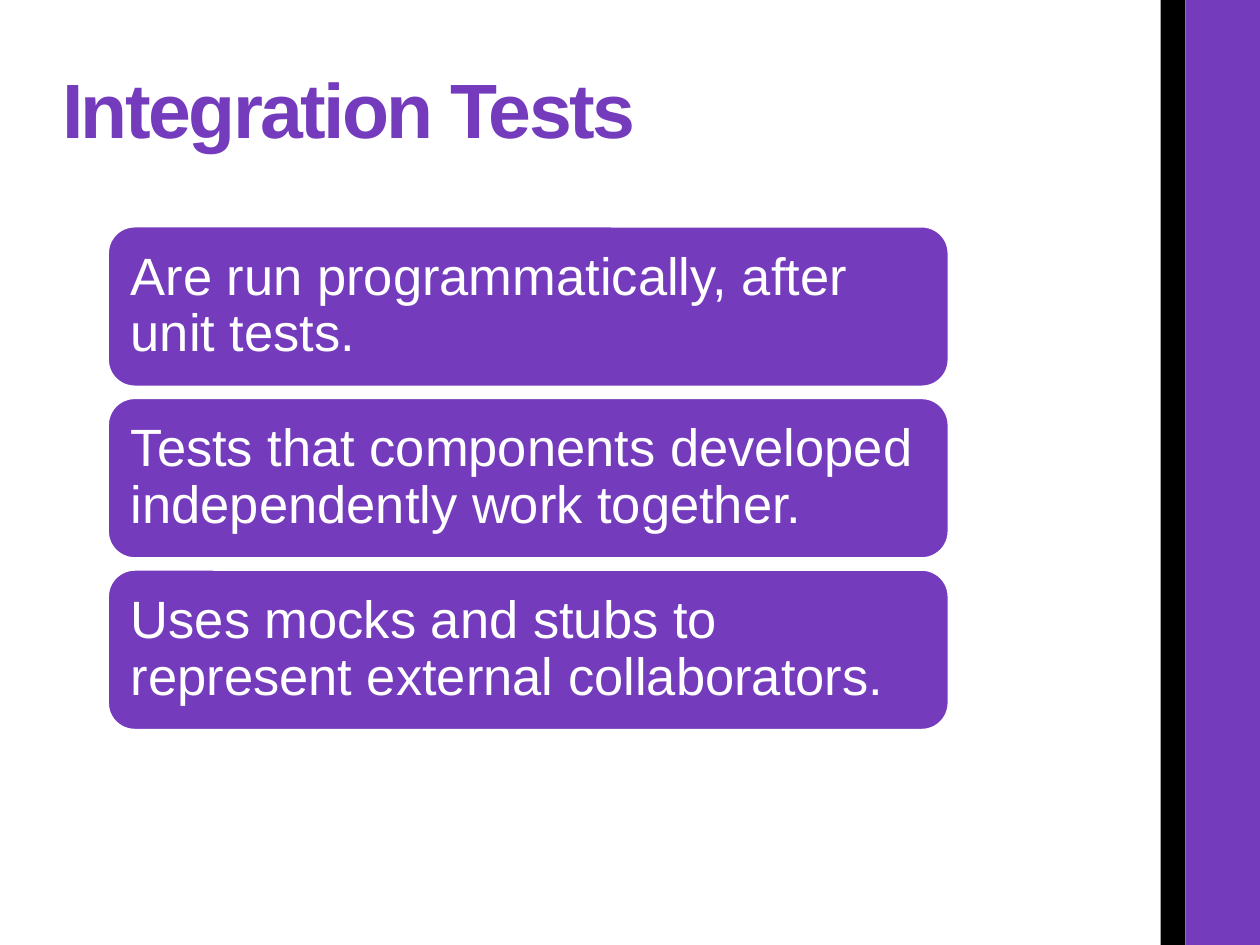
from pptx import Presentation
from pptx.dml.color import RGBColor
from pptx.enum.shapes import MSO_SHAPE as SHAPE
from pptx.enum.text import MSO_ANCHOR as ANCHOR, MSO_AUTO_SIZE as AUTO, PP_ALIGN as ALIGN
from pptx.util import Cm, Pt

COLORS = {"purple": "753BBD", "black": "000000", "white": "FFFFFF"}
WIDTH, HEIGHT = 25.4, 19.05
STATEMENTS = [
    "Are run programmatically, after unit tests.",
    "Tests that components developed independently work together.",
    "Uses mocks and stubs to represent external collaborators.",
]


class Deck:
    font = "Arial"

    def __init__(self):
        self.prs = Presentation()
        self.prs.slide_width, self.prs.slide_height = Cm(WIDTH), Cm(HEIGHT)
        self.s = self.prs.slides.add_slide(self.prs.slide_layouts[5])

    def color(self, name):
        return RGBColor.from_string(COLORS[name])

    def label(self, tf, text, size, color, anchor, bold=False):
        tf.text = text
        tf.word_wrap = True
        tf.auto_size = AUTO.NONE
        tf.vertical_anchor = anchor
        p = tf.paragraphs[0]
        p.alignment = ALIGN.LEFT
        p.line_spacing = 0.9
        r = p.runs[0]
        r.font.name, r.font.size, r.font.bold = self.font, Pt(size), bold
        r.font.color.rgb = self.color(color)
        return r

    def title(self, text, x, y, w, h):
        sp = self.s.shapes.title
        sp.left, sp.top, sp.width, sp.height = Cm(x), Cm(y), Cm(w), Cm(h)
        r = self.label(sp.text_frame, text, 44, "purple", ANCHOR.BOTTOM, bold=True)
        r._r.get_or_add_rPr().set("spc", "-150")

    def shape(self, kind, x, y, w, h, fill):
        sp = self.s.shapes.add_shape(kind, Cm(x), Cm(y), Cm(w), Cm(h))
        sp.shadow.inherit = False
        sp.fill.solid()
        sp.fill.fore_color.rgb = self.color(fill)
        sp.line.fill.background()
        return sp

    def bar(self, x, w, fill):
        self.shape(SHAPE.RECTANGLE, x, 0, w, HEIGHT, fill)

    def card(self, text, x, y, w, h):
        sp = self.shape(SHAPE.ROUNDED_RECTANGLE, x, y, w, h, "purple")
        sp.line.color.rgb = self.color("white")
        sp.line.width = Pt(1)
        tf = sp.text_frame
        tf.margin_left = tf.margin_right = tf.margin_top = tf.margin_bottom = Cm(0.3)
        self.label(tf, text, 30, "white", ANCHOR.MIDDLE)


def main():
    deck = Deck()
    deck.bar(23.9, 1.5, "purple")
    deck.bar(23.4, 0.5, "black")
    deck.title("Integration Tests", 1, 1.02, 21.36, 2.23)
    top, height, gap = 4.57, 3.22, 0.24
    for i, text in enumerate(STATEMENTS):
        deck.card(text, 2.18, top + i * (height + gap), 16.94, height)
    deck.prs.save("out.pptx")


if __name__ == "__main__":
    main()
